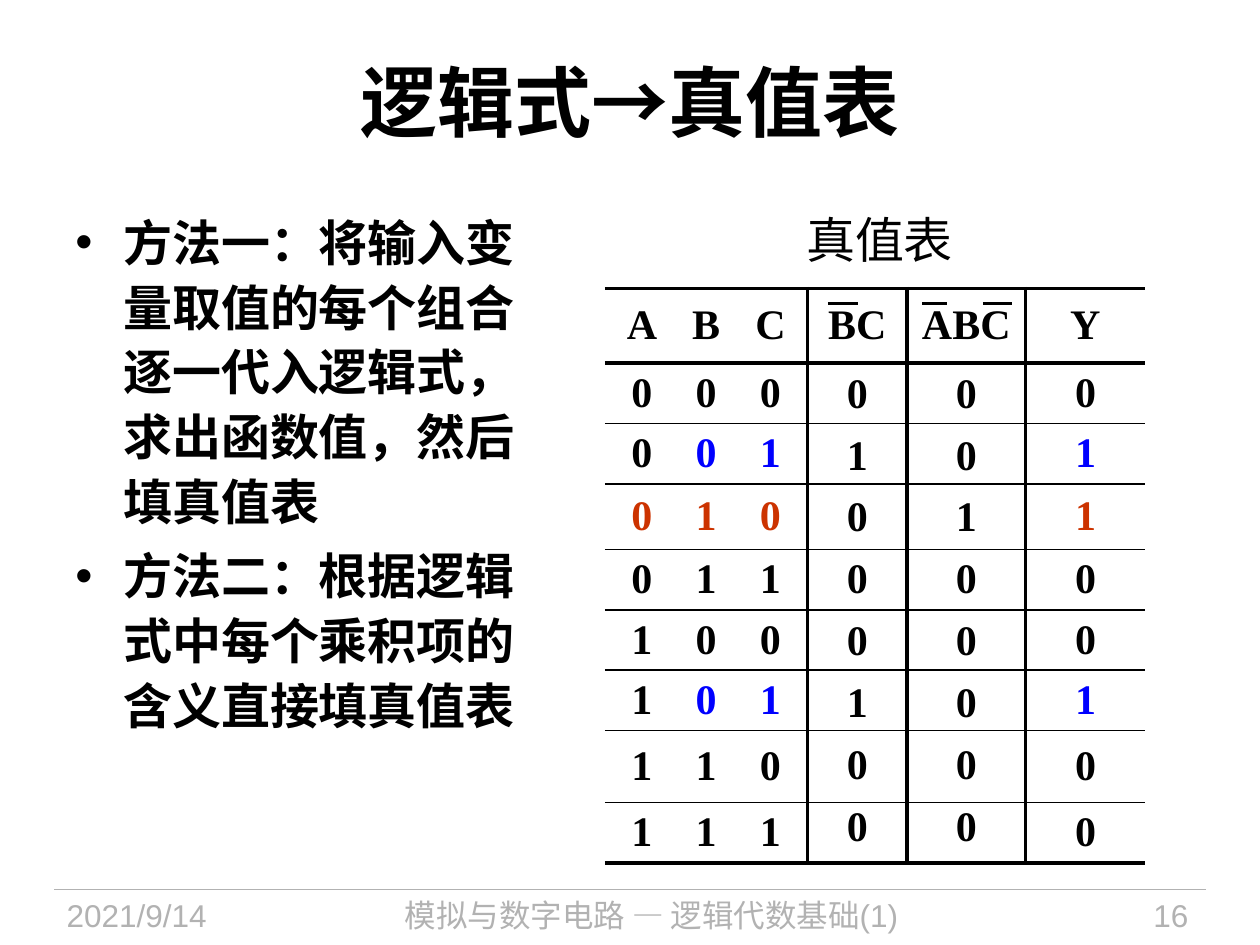
import itertools

import lxml.etree
import pptx
import pptx.dml.color
import pptx.enum.shapes
import pptx.enum.text
import pptx.oxml.ns
import pptx.util

ALIGN = pptx.enum.text.PP_ALIGN
ANCHOR = pptx.enum.text.MSO_ANCHOR
BLACK, GRAY, BLUE, RED = "000000", "B2B2B2", "0000FF", "CC3300"
THICK, THIN = 2.25, 1
UNIT = pptx.util.Inches(0.1)  
SLIDE_COLUMNS, SLIDE_ROWS = 100, 75
TABLE_COLUMNS = [5.9, 4.3, 5.9, 7.9, 9.4, 9.5]
HEADER_ROW = 5.9
BODY_ROWS = [4.8, 4.8, 5.2, 4.8, 4.8, 4.8, 5.7, 4.8]
TERM_ROWS = [4.92] * 8
CELL_FONT = {"name": "Times New Roman", "size": pptx.util.Pt(24), "bold": True}


def grid(*counts):
    return [round(count * UNIT) for count in counts]


def color(value):
    return pptx.dml.color.RGBColor.from_string(value)


def set_values(target, values):
    for name, value in values.items():
        setattr(target, name, value)


def arial(size, bold=False):
    return {"name": "Arial", "size": pptx.util.Pt(size), "bold": bold}


def add_span(para, text, font, ink):
    span = para.add_run()
    span.text = text
    set_values(span.font, font)
    span.font.color.rgb = color(ink)


def add_bullet(para, indent):
    properties = para._p.get_or_add_pPr()
    properties.set("marL", str(indent))
    properties.set("indent", str(-indent))
    for tag, name, value in (("a:buFont", "typeface", "Arial"), ("a:buChar", "char", "•")):
        lxml.etree.SubElement(properties, pptx.oxml.ns.qn(tag)).set(name, value)


def add_text(page, box, texts, font, ink=BLACK, frame_format=None, para_format=None, indent=0):
    frame = page.shapes.add_textbox(*grid(*box)).text_frame
    set_values(frame, {"word_wrap": True, **(frame_format or {})})
    for index, text in enumerate(texts):
        para = frame.paragraphs[0] if index == 0 else frame.add_paragraph()
        if indent:
            add_bullet(para, indent)
        set_values(para, para_format or {})
        add_span(para, text, font, ink)


def add_line(page, left, right, top, ink, width):
    line = page.shapes.add_connector(
        pptx.enum.shapes.MSO_CONNECTOR.STRAIGHT, *grid(left, top, right, top))
    line.line.color.rgb = color(ink)
    line.line.width = pptx.util.Pt(width)
    lxml.etree.SubElement(line.element.spPr, pptx.oxml.ns.qn("a:effectLst"))


def set_borders(cell, widths):
    properties = cell._tc.get_or_add_tcPr()
    for side, width in zip("LRTB", widths):
        edge = lxml.etree.SubElement(properties, pptx.oxml.ns.qn(f"a:ln{side}"))
        edge.set("w", str(pptx.util.Pt(width)))
        if width:
            fill = lxml.etree.SubElement(edge, pptx.oxml.ns.qn("a:solidFill"))
            lxml.etree.SubElement(fill, pptx.oxml.ns.qn("a:srgbClr")).set("val", BLACK)
        else:
            lxml.etree.SubElement(edge, pptx.oxml.ns.qn("a:noFill"))


def no_borders(row, column):
    return 0, 0, 0, 0


def ruled_borders(row, column):
    return (THICK if column >= 3 else 0,
            THICK if 2 <= column <= 4 else 0,
            THICK if row <= 1 else THIN,
            THICK if row in (0, len(BODY_ROWS)) else THIN)


def add_grid_table(page, left, top, columns, rows, cells, borders=no_borders):
    box = grid(left, top, sum(columns), sum(rows))
    table = page.shapes.add_table(len(rows), len(columns), *box).table
    set_values(table, {"first_row": False, "horz_banding": False})
    for column, width in zip(table.columns, grid(*columns)):
        column.width = width
    for row, height in zip(table.rows, grid(*rows)):
        row.height = height
    margins = dict.fromkeys(("margin_left", "margin_right", "margin_top", "margin_bottom"), 0)
    for row, column in itertools.product(range(len(rows)), range(len(columns))):
        cell = table.cell(row, column)
        set_values(cell, {"vertical_anchor": ANCHOR.MIDDLE, **margins})
        set_borders(cell, borders(row, column))
        cell.fill.background()
        text, ink = cells[row][column]
        if text:
            para = cell.text_frame.paragraphs[0]
            para.alignment = ALIGN.CENTER
            add_span(para, text, CELL_FONT, ink)


def truth_rows():
    inputs, terms, outputs = [], [], []
    for a, b, c in itertools.product((0, 1), repeat=3):
        first, second = int(not b and c), int(not a and b and not c)
        ink = BLUE if first else RED if second else BLACK
        inputs.append([(str(a), RED if second else BLACK), (str(b), ink), (str(c), ink)])
        terms.append([(str(first), BLACK), (str(second), BLACK)])
        outputs.append([(str(first or second), ink)])
    return inputs, terms, outputs


def build_truth_table(page, left, top):
    inputs, terms, outputs = truth_rows()
    header = [(name, BLACK) for name in ("A", "B", "C", "BC", "ABC", "Y")]
    cells = [header] + [row + [("", BLACK)] * 3 for row in inputs]
    term_left = left + sum(TABLE_COLUMNS[:3])
    output_left = left + sum(TABLE_COLUMNS[:5])
    body_top = top + HEADER_ROW
    add_text(page, (left + 15, top - 6.8, 13.7, 5.7), ["真值表"], arial(28),
             frame_format={"word_wrap": False})
    add_grid_table(page, left, top, TABLE_COLUMNS, [HEADER_ROW] + BODY_ROWS, cells, ruled_borders)
    for start, end in ((17.7, 20.1), (25.2, 27.2), (30, 32.3)):
        add_line(page, left + start, left + end, top + 1.2, BLACK, 1.5)
    add_grid_table(page, term_left, body_top, TABLE_COLUMNS[3:5], TERM_ROWS, terms)
    add_grid_table(page, output_left, body_top, TABLE_COLUMNS[5:], BODY_ROWS, outputs)


def build_title(page, box):
    add_text(page, box, ["逻辑式→真值表"], arial(44, True),
             frame_format={"vertical_anchor": ANCHOR.MIDDLE},
             para_format={"alignment": ALIGN.CENTER})


def build_methods(page, box):
    texts = ["方法一：将输入变量取值的每个组合逐一代入逻辑式，求出函数值，然后填真值表",
             "方法二：根据逻辑式中每个乘积项的含义直接填真值表"]
    add_text(page, box, texts, arial(28, True),
             para_format={"line_spacing": 1.1, "space_after": pptx.util.Pt(5.6)},
             indent=pptx.util.Inches(0.38))


def build_footer(page, left, top, width, height):
    add_line(page, left, left + width, top, GRAY, 0.75)
    for start, span, text, align in (
            (0, 18.8, "2021/9/14", ALIGN.LEFT),
            (20.6, 53.6, "模拟与数字电路 — 逻辑代数基础(1)", ALIGN.CENTER),
            (77.7, 13.3, "16", ALIGN.RIGHT)):
        add_text(page, (left + start, top, span, height), [text], arial(18), GRAY,
                 para_format={"alignment": align})


def main():
    deck = pptx.Presentation()
    deck.slide_width, deck.slide_height = grid(SLIDE_COLUMNS, SLIDE_ROWS)
    page = deck.slides.add_slide(deck.slide_layouts[6])
    build_footer(page, 4.3, 70.6, 91.4, 4.4)
    build_title(page, (5, 1.7, 90, 12.5))
    build_methods(page, (5, 15.9, 40.3, 44.5))
    build_truth_table(page, 48, 22.9)
    deck.save("out.pptx")


if __name__ == "__main__":
    main()
